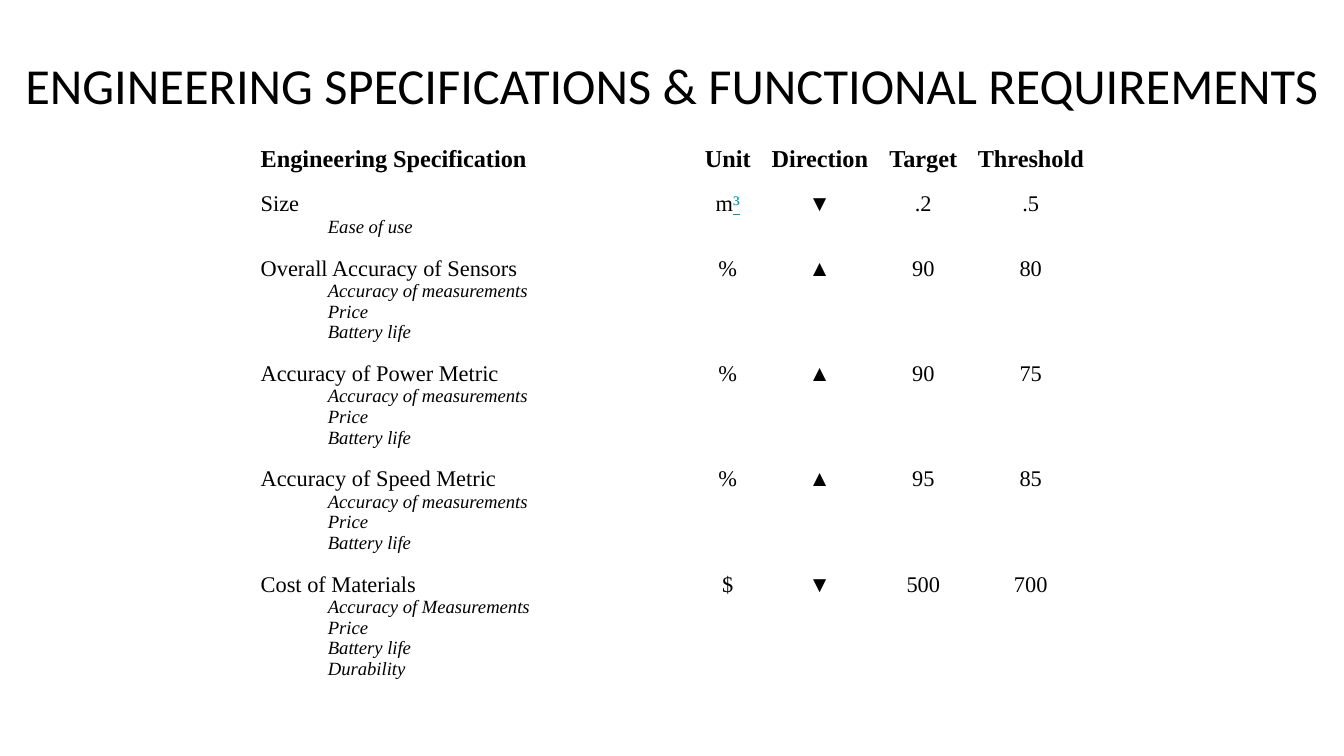
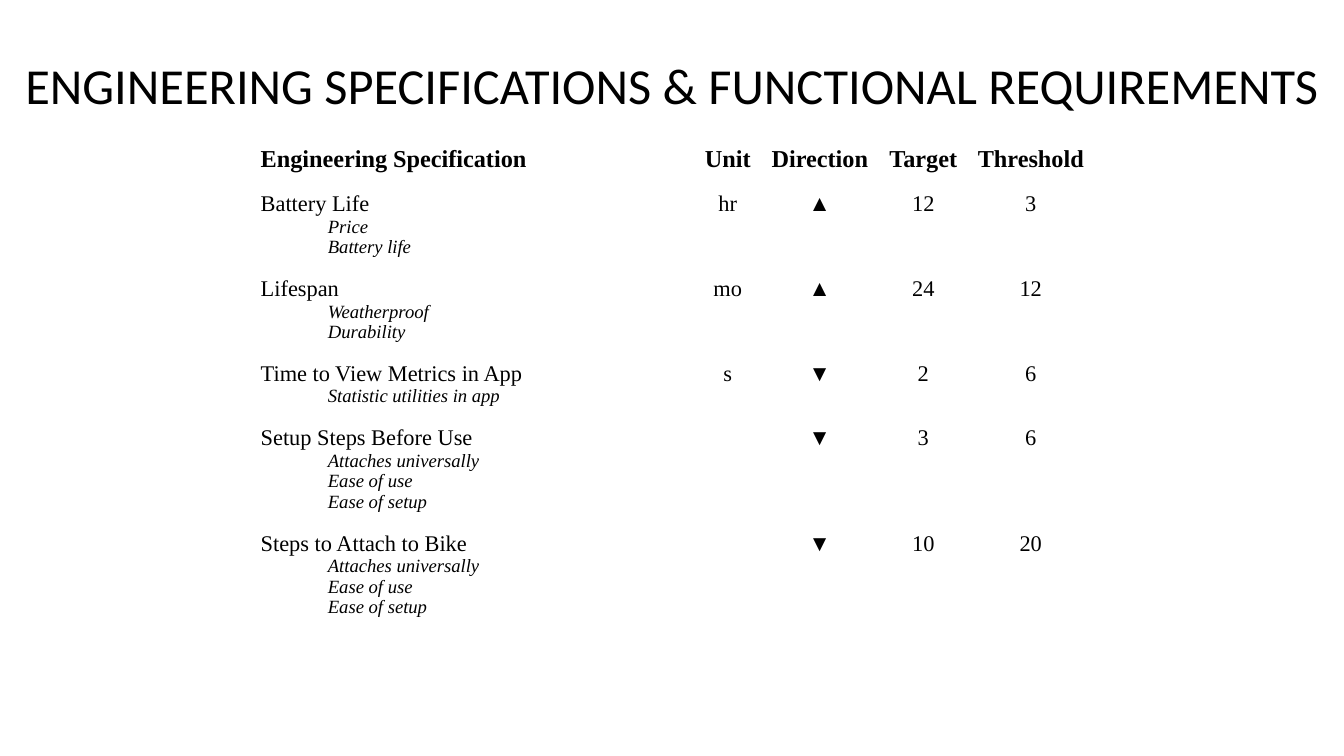
from lxml import etree
from pptx import Presentation
from pptx.dml.color import RGBColor
from pptx.enum import text
from pptx.oxml import ns
from pptx.util import Inches, Pt

BLACK, WHITE, TEAL = "000000", "FFFFFF", "0097A7"
TITLE_FONT, TABLE_FONT = "Calibri", "Times New Roman"
TITLE = "ENGINEERING SPECIFICATIONS & FUNCTIONAL REQUIREMENTS"
HEADERS = ["Engineering Specification", "Unit", "Direction", "Target", "Threshold"]
COL_WIDTHS = [3.3, 0.49, 0.88, 0.66, 0.94]
ROW_HEIGHT = 0.01  # rows grow to fit their text
CELL_INSET = 0.07
SUB_INDENT = 0.5
TITLE_BOX = (0, 0.3, 10, 0.63)
TABLE_BOX = (1.87, 1.02, 3.28, 3.28)
UP, DOWN = "\u25b2", "\u25bc"
SENSOR_NEEDS = ["Accuracy of measurements", "Price", "Battery life"]
SETUP_NEEDS = ["Attaches universally", "Ease of use", "Ease of setup"]

# Each row: specification, needs it serves, unit, direction, target, threshold
SLIDES = [
    [
        ("Size", ["Ease of use"], "m\u00b3", DOWN, ".2", ".5"),
        ("Overall Accuracy of Sensors", SENSOR_NEEDS, "%", UP, "90", "80"),
        ("Accuracy of Power Metric", SENSOR_NEEDS, "%", UP, "90", "75"),
        ("Accuracy of Speed Metric", SENSOR_NEEDS, "%", UP, "95", "85"),
        ("Cost of Materials",
         ["Accuracy of Measurements", "Price", "Battery life", "Durability"],
         "$", DOWN, "500", "700"),
    ],
    [
        ("Battery Life", ["Price", "Battery life"], "hr", UP, "12", "3"),
        ("Lifespan", ["Weatherproof", "Durability"], "mo", UP, "24", "12"),
        ("Time to View Metrics in App", ["Statistic utilities in app"],
         "s", DOWN, "2", "6"),
        ("Setup Steps Before Use", SETUP_NEEDS, "", DOWN, "3", "6"),
        ("Steps to Attach to Bike", SETUP_NEEDS, "", DOWN, "10", "20"),
    ],
]


def rgb(value):
    return RGBColor.from_string(value)


def format_run(r, size, font=TABLE_FONT, color=BLACK, bold=False, italic=False):
    r.font.size = Pt(size)
    r.font.name = font
    r.font.color.rgb = rgb(color)
    r.font.bold = bold
    r.font.italic = italic


def add_title(slide, box):
    sp = slide.shapes.title
    sp.left, sp.top, sp.width, sp.height = map(Inches, box)
    tf = sp.text_frame
    tf.text = TITLE
    tf.word_wrap = True
    tf.auto_size = text.MSO_AUTO_SIZE.NONE
    tf.vertical_anchor = text.MSO_ANCHOR.TOP
    tf.margin_left = tf.margin_right = Inches(0.1)
    tf.margin_top = tf.margin_bottom = Inches(0.1)
    p = tf.paragraphs[0]
    p.alignment = text.PP_ALIGN.CENTER
    format_run(p.runs[0], 27, TITLE_FONT)


def style_cell(cell):
    """Plain cell with even insets and thin white borders."""
    cell.margin_left = cell.margin_right = Inches(CELL_INSET)
    cell.margin_top = cell.margin_bottom = Inches(CELL_INSET)
    cell.vertical_anchor = text.MSO_ANCHOR.TOP
    tc_pr = cell._tc.get_or_add_tcPr()
    for side in ("lnL", "lnR", "lnT", "lnB"):
        ln = etree.SubElement(tc_pr, ns.qn("a:" + side), w=str(Pt(1)))
        fill = etree.SubElement(ln, ns.qn("a:solidFill"))
        etree.SubElement(fill, ns.qn("a:srgbClr"), val=WHITE)
    cell.fill.background()


def fill_cell(cell, value, size, centered, bold=False):
    style_cell(cell)
    p = cell.text_frame.paragraphs[0]
    p.alignment = text.PP_ALIGN.CENTER if centered else text.PP_ALIGN.LEFT
    if value:
        p.text = value
        format_run(p.runs[0], size, bold=bold)


def add_needs(cell, needs):
    for need in needs:
        p = cell.text_frame.add_paragraph()
        p.text = need
        p.alignment = text.PP_ALIGN.LEFT
        p_pr = p._p.get_or_add_pPr()
        p_pr.set("marL", str(Inches(SUB_INDENT)))
        p_pr.set("indent", "0")
        format_run(p.runs[0], 10, italic=True)


def mark_exponent(cell):
    """Set the cubic sign apart in teal with an underline."""
    p = cell.text_frame.paragraphs[0]
    p.runs[0].text = p.text[:-1]
    r = p.add_run()
    r.text = "\u00b3"
    format_run(r, 12, color=TEAL)
    r.font.underline = True


def add_spec_table(slide, box, specs):
    left, top, width, height = map(Inches, box)
    frame = slide.shapes.add_table(len(specs) + 1, len(HEADERS),
                                   left, top, width, height)
    table = frame.table
    table.first_row = table.horz_banding = False
    for column, col_width in zip(table.columns, COL_WIDTHS):
        column.width = Inches(col_width)
    for row in table.rows:
        row.height = Inches(ROW_HEIGHT)
    frame.width, frame.height = width, height

    # Header row
    for j, header in enumerate(HEADERS):
        fill_cell(table.cell(0, j), header, 13, j > 0, bold=True)

    # Specification rows
    for i, (name, needs, *values) in enumerate(specs, 1):
        for j, value in enumerate([name, *values]):
            cell = table.cell(i, j)
            fill_cell(cell, value, 12, j > 0)
            if value.endswith("\u00b3"):
                mark_exponent(cell)
        add_needs(table.cell(i, 0), needs)


prs = Presentation()
prs.slide_width = Inches(10)
prs.slide_height = prs.slide_width * 9 // 16
for specs in SLIDES:
    slide = prs.slides.add_slide(prs.slide_layouts[5])
    slide.background.fill.solid()
    slide.background.fill.fore_color.rgb = rgb(WHITE)
    add_title(slide, TITLE_BOX)
    add_spec_table(slide, TABLE_BOX, specs)
prs.save("out.pptx")
